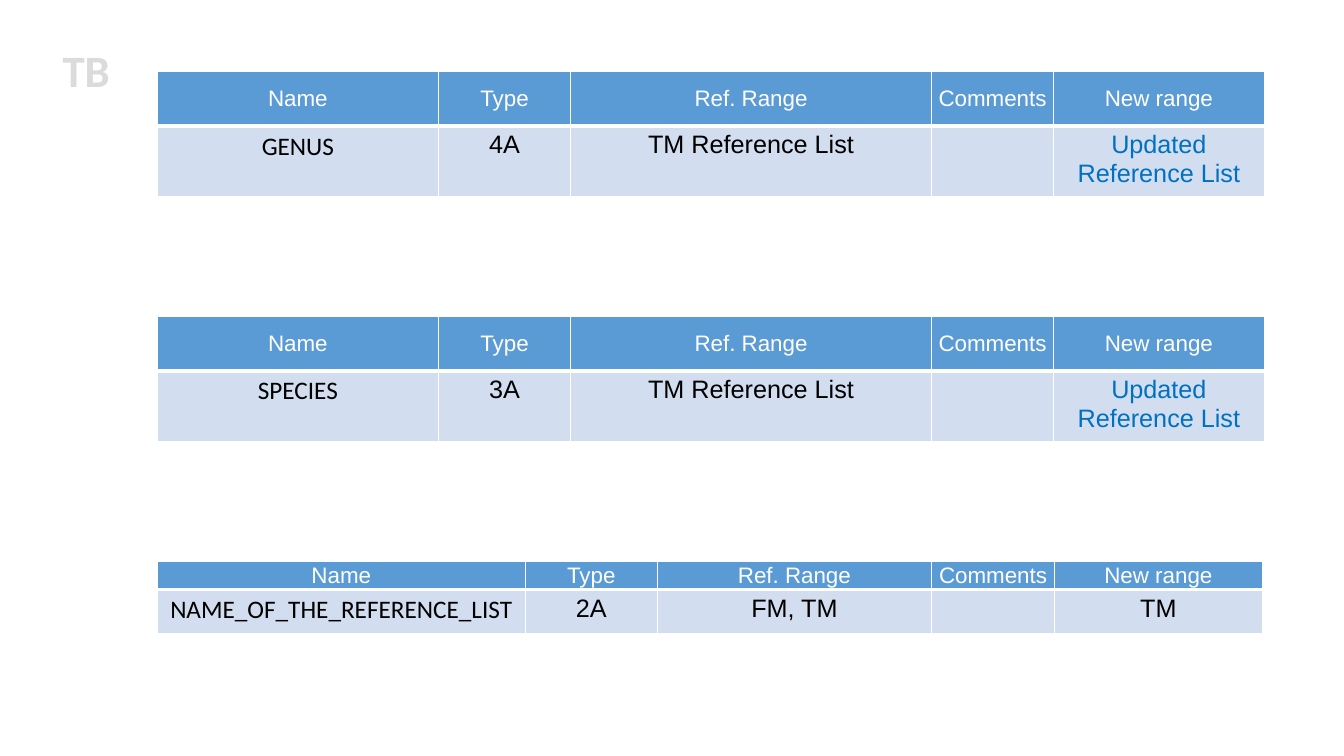
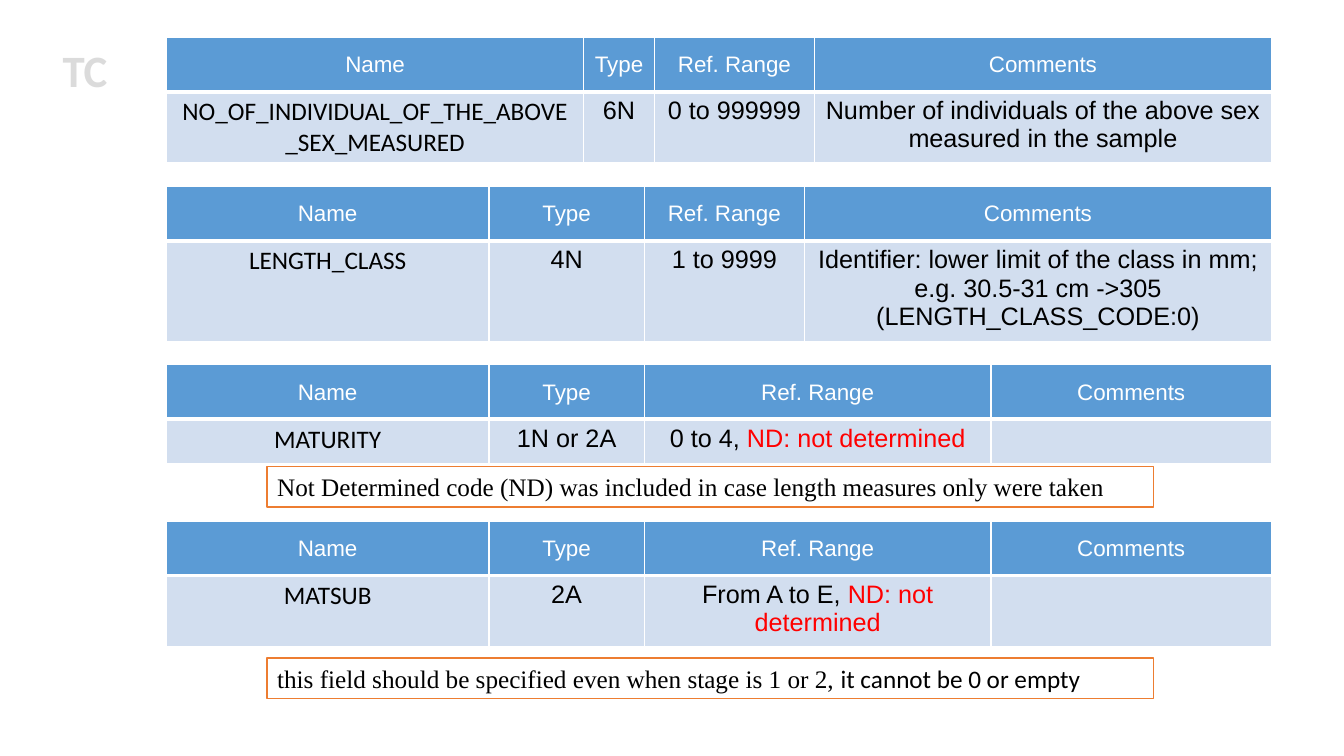
from lxml import etree
from pptx import Presentation
from pptx.dml.color import RGBColor
from pptx.enum.shapes import MSO_SHAPE
from pptx.enum.text import MSO_ANCHOR, MSO_AUTO_SIZE, PP_ALIGN
from pptx.oxml.ns import qn
from pptx.util import Inches, Pt

WHITE = RGBColor(0xFF, 0xFF, 0xFF)
BLACK = RGBColor(0, 0, 0)
GREY = RGBColor(0xDB, 0xDB, 0xDB)
HEADER_BLUE = RGBColor(0x5B, 0x9B, 0xD5)
BODY_BLUE = RGBColor(0xD2, 0xDE, 0xEF)
LINK_BLUE = RGBColor(0x00, 0x70, 0xC0)
RED = RGBColor(0xFF, 0, 0)
ORANGE = RGBColor(0xED, 0x7D, 0x31)

SANS, NAMES, SERIF = "Arial", "Calibri", "Times New Roman"
HEADINGS = ["Name", "Type", "Ref. Range", "Comments", "New range"]
HEADER_HEIGHT = 0.54
SPECIES_COLS = [2.79, 1.31, 3.58, 1.21, 2.09]
MATURITY_COLS = [3.2, 1.54, 3.44, 2.78]
UPDATED_LIST = ("Updated Reference List", LINK_BLUE)
NOT_DETERMINED = ("ND: not determined", RED)


def set_font(font, size, name, color, bold=False):
    """Set size, typeface, colour and weight of a font."""
    font.size, font.name, font.bold = Pt(size), name, bold
    font.color.rgb = color


def add_slide(prs, title):
    """Add a title-only slide with its pale section code."""
    slide = prs.slides.add_slide(prs.slide_layouts[5])
    sp = slide.shapes.title
    sp.left, sp.top, sp.width, sp.height = map(Inches, (0.52, 0.37, 0.88, 0.64))
    tf = sp.text_frame
    tf.text = title
    tf.vertical_anchor = MSO_ANCHOR.TOP
    tf.auto_size = MSO_AUTO_SIZE.SHAPE_TO_FIT_TEXT
    p = tf.paragraphs[0]
    p.alignment = PP_ALIGN.LEFT
    set_font(p.font, 32, NAMES, GREY, bold=True)
    return slide


def set_borders(cell, top, bottom):
    """Draw white borders, one point wide at the sides."""
    tc_pr = cell._tc.get_or_add_tcPr()
    for side, width in (("L", 1), ("R", 1), ("T", top), ("B", bottom)):
        ln = etree.SubElement(tc_pr, qn(f"a:ln{side}"), w=str(Pt(width)))
        fill = etree.SubElement(ln, qn("a:solidFill"))
        etree.SubElement(fill, qn("a:srgbClr"), val=str(WHITE))


def fill_cell(cell, content, size, name, color, fill):
    """Fill a cell with centred text; (text, colour) pairs get their own colour."""
    cell.fill.solid()
    cell.fill.fore_color.rgb = fill
    p = cell.text_frame.paragraphs[0]
    p.alignment = PP_ALIGN.CENTER
    set_font(p.font, size, name, color)
    for part in content if isinstance(content, list) else [content]:
        text, part_color = part if isinstance(part, tuple) else (part, None)
        if text:
            r = p.add_run()
            r.text = text
            if part_color is not None:
                r.font.color.rgb = part_color


def add_field_table(slide, left, top, height, cols, values, header=HEADER_HEIGHT):
    """Add a table with a heading row and one row describing a field."""
    frame = slide.shapes.add_table(2, len(cols), Inches(left), Inches(top),
                                   Inches(sum(cols)), Inches(height))
    table = frame.table
    table.first_row = table.horz_banding = False
    table.rows[0].height = Inches(header)
    table.rows[1].height = Inches(height - header)
    for i, (width, heading, value) in enumerate(zip(cols, HEADINGS, values)):
        table.columns[i].width = Inches(width)
        head, body = table.cell(0, i), table.cell(1, i)
        head.vertical_anchor = MSO_ANCHOR.MIDDLE
        head.margin_left = head.margin_right = head.margin_top = Inches(0.01)
        head.margin_bottom = 0
        set_borders(head, top=1, bottom=3)
        set_borders(body, top=3, bottom=1)
        fill_cell(head, heading, 16, SANS, WHITE, HEADER_BLUE)
        fill_cell(body, value, 18, SANS if i else NAMES, BLACK, BODY_BLUE)


def add_note(slide, top, text, ending=""):
    """Add an orange-framed note, with an optional ending in the sans face."""
    sp = slide.shapes.add_shape(MSO_SHAPE.RECTANGLE, Inches(2.65), Inches(top),
                                Inches(8.79), Inches(0.4))
    sp.shadow.inherit = False
    sp.fill.solid()
    sp.fill.fore_color.rgb = WHITE
    sp.line.color.rgb = ORANGE
    sp.line.width = Pt(1)
    tf = sp.text_frame
    tf.word_wrap = True
    tf.vertical_anchor = MSO_ANCHOR.TOP
    p = tf.paragraphs[0]
    p.alignment = PP_ALIGN.LEFT
    set_font(p.font, 18, SERIF, BLACK)
    p.add_run().text = text
    if ending:
        r = p.add_run()
        r.text = ending
        r.font.name = NAMES


def build_tb(prs):
    """Build the slide on the TB fields."""
    slide = add_slide(prs, "TB")
    left = 1.56
    add_field_table(slide, left, 0.71, 1.24, SPECIES_COLS,
                    ["GENUS", "4A", "TM Reference List", "", UPDATED_LIST])
    add_field_table(slide, left, 3.14, 1.24, SPECIES_COLS,
                    ["SPECIES", "3A", "TM Reference List", "", UPDATED_LIST])
    add_field_table(slide, left, 5.57, 0.71, [3.65, 1.31, 2.72, 1.22, 2.06],
                    ["NAME_OF_THE_REFERENCE_LIST", "2A", "FM, TM", "", "TM"],
                    header=0.27)


def build_tc(prs):
    """Build the slide on the TC fields."""
    slide = add_slide(prs, "TC")
    left = 1.65
    add_field_table(slide, left, 0.37, 1.24, [4.14, 0.7, 1.59, 4.53],
                    ["NO_OF_INDIVIDUAL_OF_THE_ABOVE_SEX_MEASURED", "6N", "0 to 999999",
                     "Number of individuals of the above sex measured in the sample"])
    add_field_table(slide, left, 1.85, 1.54, [3.2, 1.54, 1.59, 4.63],
                    ["LENGTH_CLASS", "4N", "1 to 9999",
                     "Identifier: lower limit of the class in mm; "
                     "e.g. 30.5-31 cm ->305 (LENGTH_CLASS_CODE:0)"])
    add_field_table(slide, left, 3.62, 0.98, MATURITY_COLS,
                    ["MATURITY", "1N or 2A", ["0 to 4, ", NOT_DETERMINED], ""])
    add_note(slide, 4.63, "Not Determined code (ND) was included in case "
                          "length measures only were taken")
    add_field_table(slide, left, 5.17, 1.24, MATURITY_COLS,
                    ["MATSUB", "2A", ["From A to E, ", NOT_DETERMINED], ""])
    add_note(slide, 6.53, "this field should be specified even when stage is 1 or 2, ",
             "it cannot be 0 or empty")


def main():
    """Build and save the presentation."""
    prs = Presentation()
    prs.slide_width, prs.slide_height = Inches(13.33), Inches(7.5)
    build_tb(prs)
    build_tc(prs)
    prs.save("out.pptx")


if __name__ == "__main__":
    main()
